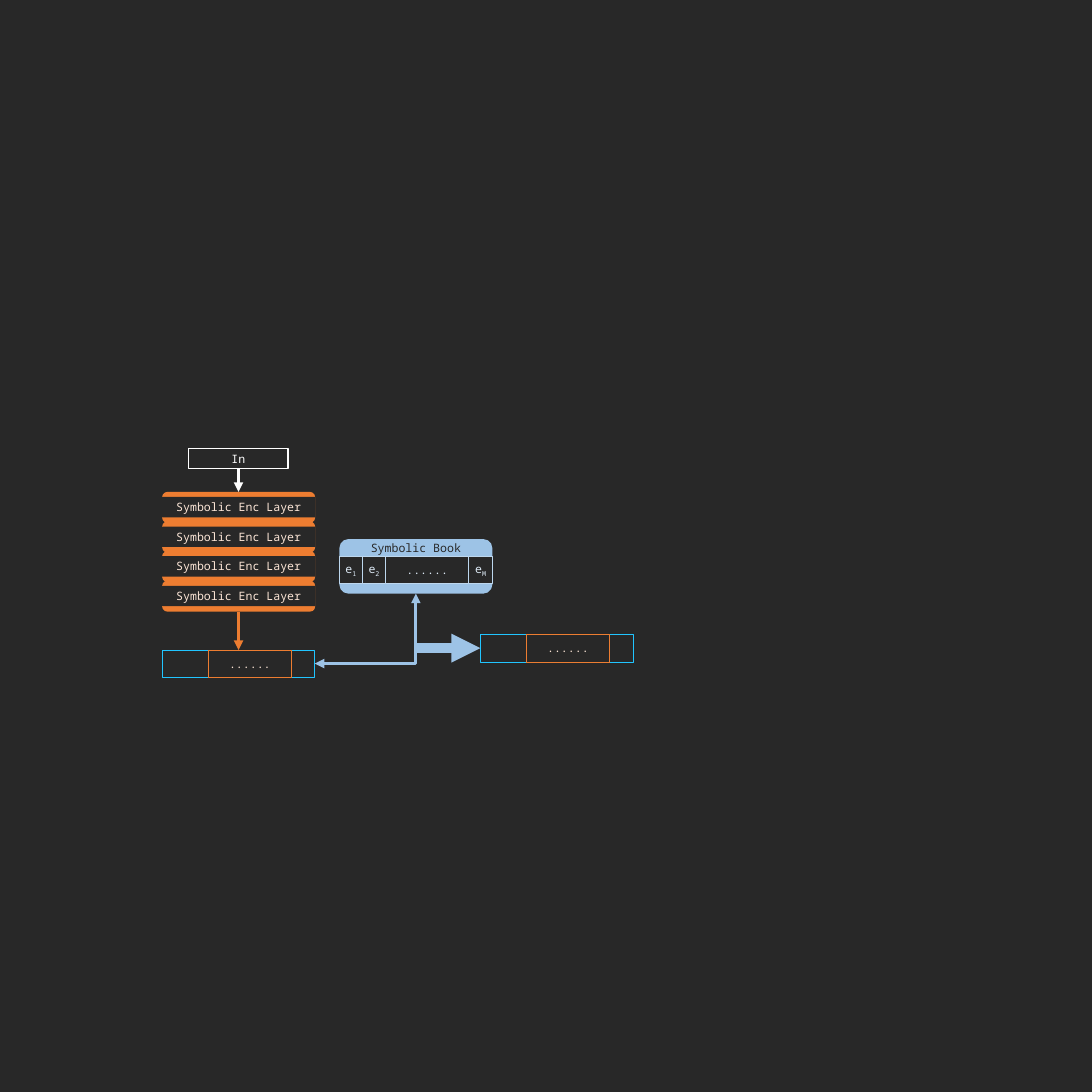
from dataclasses import dataclass
from typing import Any, Optional

import lxml.etree
import pptx
import pptx.dml.color
import pptx.enum.shapes
import pptx.enum.text
import pptx.oxml.ns
import pptx.util

Pt = pptx.util.Pt
Shapes = pptx.enum.shapes.MSO_SHAPE
Connectors = pptx.enum.shapes.MSO_CONNECTOR


@dataclass(frozen=True)
class Theme:
    font: str = "Noto Sans Mono"
    size: float = 18
    dark: str = "282828"
    white: str = "FFFFFF"
    orange: str = "ED7D31"
    peach: str = "FBE5D6"
    blue: str = "9DC3E6"
    cell_line: str = "BDD7EE"
    cell_text: str = "DEEBF7"
    cyan: str = "21C5FF"


THEME = Theme()


@dataclass(frozen=True)
class Box:
    left: float
    top: float
    width: float
    height: float
    fill: str = THEME.dark
    line: Optional[str] = None
    line_width: float = 1
    rounded: bool = False
    text: str = ""
    subscript: str = ""
    color: str = THEME.white


@dataclass(frozen=True)
class Arrow:
    start: tuple[float, float]
    end: tuple[float, float]
    color: str
    width: float = 5


@dataclass(frozen=True)
class Cell:
    width: float
    text: str
    subscript: str = ""


def rgb(color: str) -> pptx.dml.color.RGBColor:
    return pptx.dml.color.RGBColor.from_string(color)


def write_label(shape: Any, box: Box) -> None:
    frame = shape.text_frame
    frame.word_wrap = True
    frame.margin_left = frame.margin_right = Pt(0)
    frame.vertical_anchor = pptx.enum.text.MSO_ANCHOR.MIDDLE
    frame.text = box.text
    para = frame.paragraphs[0]
    para.alignment = pptx.enum.text.PP_ALIGN.CENTER
    if box.subscript:
        span = para.add_run()
        span.text = box.subscript
        span.font._element.set("baseline", "-25000")
    for span in para.runs:
        span.font.name = THEME.font
        span.font.size = Pt(THEME.size)
        span.font.color.rgb = rgb(box.color)


def draw_box(shapes: Any, box: Box) -> None:
    kind = Shapes.ROUNDED_RECTANGLE if box.rounded else Shapes.RECTANGLE
    shape = shapes.add_shape(kind, Pt(box.left), Pt(box.top), Pt(box.width), Pt(box.height))
    shape.shadow.inherit = False
    shape.fill.solid()
    shape.fill.fore_color.rgb = rgb(box.fill)
    if box.line:
        shape.line.color.rgb = rgb(box.line)
        shape.line.width = Pt(box.line_width)
    else:
        shape.line.fill.background()
    if box.text:
        write_label(shape, box)


def draw_title(shapes: Any, box: Box) -> None:
    title = shapes.add_textbox(Pt(box.left), Pt(box.top), Pt(box.width), Pt(box.height))
    write_label(title, box)


def style_line(connector: Any, arrow: Arrow, ends: tuple[str, ...]) -> None:
    connector.line.color.rgb = rgb(arrow.color)
    connector.line.width = Pt(arrow.width)
    for end in ends:
        lxml.etree.SubElement(
            connector.line._get_or_add_ln(), pptx.oxml.ns.qn(f"a:{end}"), type="triangle"
        )
    lxml.etree.SubElement(connector._element.spPr, pptx.oxml.ns.qn("a:effectLst"))


def draw_arrow(shapes: Any, arrow: Arrow) -> None:
    connector = shapes.add_connector(
        Connectors.STRAIGHT, *(Pt(value) for value in arrow.start + arrow.end)
    )
    style_line(connector, arrow, ("tailEnd",))


def draw_corner_arrow(shapes: Any, arrow: Arrow) -> None:
    (start_x, start_y), (end_x, end_y) = arrow.start, arrow.end
    across, down = start_x - end_x, end_y - start_y
    left = (start_x + end_x - down) / 2
    top = (start_y + end_y - across) / 2
    connector = shapes.add_connector(
        Connectors.ELBOW, Pt(left), Pt(top), Pt(left + down), Pt(top + across)
    )
    properties = connector._element.spPr
    properties.find(pptx.oxml.ns.qn("a:xfrm")).set("rot", str(90 * 60000))
    properties.find(pptx.oxml.ns.qn("a:prstGeom")).set("prst", "bentConnector2")
    style_line(connector, arrow, ("headEnd", "tailEnd"))


def draw_layer(page: Any, left: float, top: float) -> None:
    shapes = page.shapes.add_group_shape().shapes
    draw_box(shapes, Box(left, top, 238.3, 48.2, fill=THEME.orange, rounded=True))
    draw_box(shapes, Box(left, top + 7.9, 238.3, 31.7,
                         text="Symbolic Enc Layer", color=THEME.peach))


def draw_strip(page: Any, left: float, top: float) -> None:
    shapes = page.shapes.add_group_shape().shapes
    draw_box(shapes, Box(left, top, 237.6, 42.5, line=THEME.cyan))
    draw_box(shapes, Box(left + 71.6, top, 129.6, 42.5, line=THEME.orange,
                         text="......", color=THEME.peach))


def draw_book(page: Any, left: float, top: float) -> None:
    shapes = page.shapes.add_group_shape().shapes
    draw_box(shapes, Box(left, top, 238.3, 85, fill=THEME.blue, rounded=True))
    draw_title(shapes, Box(left, top - 3.6, 238.3, 35.3,
                           text="Symbolic Book", color=THEME.dark))
    cells = [Cell(36, "e", "1"), Cell(36, "e", "2"), Cell(129.6, "......"), Cell(36.7, "e", "M")]
    for cell in cells:
        draw_box(shapes, Box(left, top + 26.7, cell.width, 42.5, line=THEME.cell_line,
                             text=cell.text, subscript=cell.subscript, color=THEME.cell_text))
        left += cell.width


def main() -> None:
    deck = pptx.Presentation()
    deck.slide_width = deck.slide_height = Pt(1700.64)
    page = deck.slides.add_slide(deck.slide_layouts[6])
    page.background.fill.solid()
    page.background.fill.fore_color.rgb = rgb(THEME.dark)

    center = 371.5
    for index in range(4):
        draw_layer(page, 252.5, 766.1 + 46.1 * index)
    draw_box(page.shapes, Box(293.8, 698.4, 154.8, 31.7, line=THEME.white,
                              line_width=2, text="In"))
    draw_book(page, 528.5, 839.5)
    draw_strip(page, 252.7, 1012.3)
    draw_arrow(page.shapes, Arrow((center, 730.8), (center, 766.1), THEME.white))
    draw_arrow(page.shapes, Arrow((center, 952.6), (center, 1012.3), THEME.orange))
    draw_corner_arrow(page.shapes, Arrow((647.7, 924.5), (490.3, 1033.4), THEME.blue))
    draw_arrow(page.shapes, Arrow((647.7, 1009.4), (748.1, 1009.4), THEME.blue, 15))
    draw_strip(page, 748.1, 988.3)
    deck.save("out.pptx")


if __name__ == "__main__":
    main()
